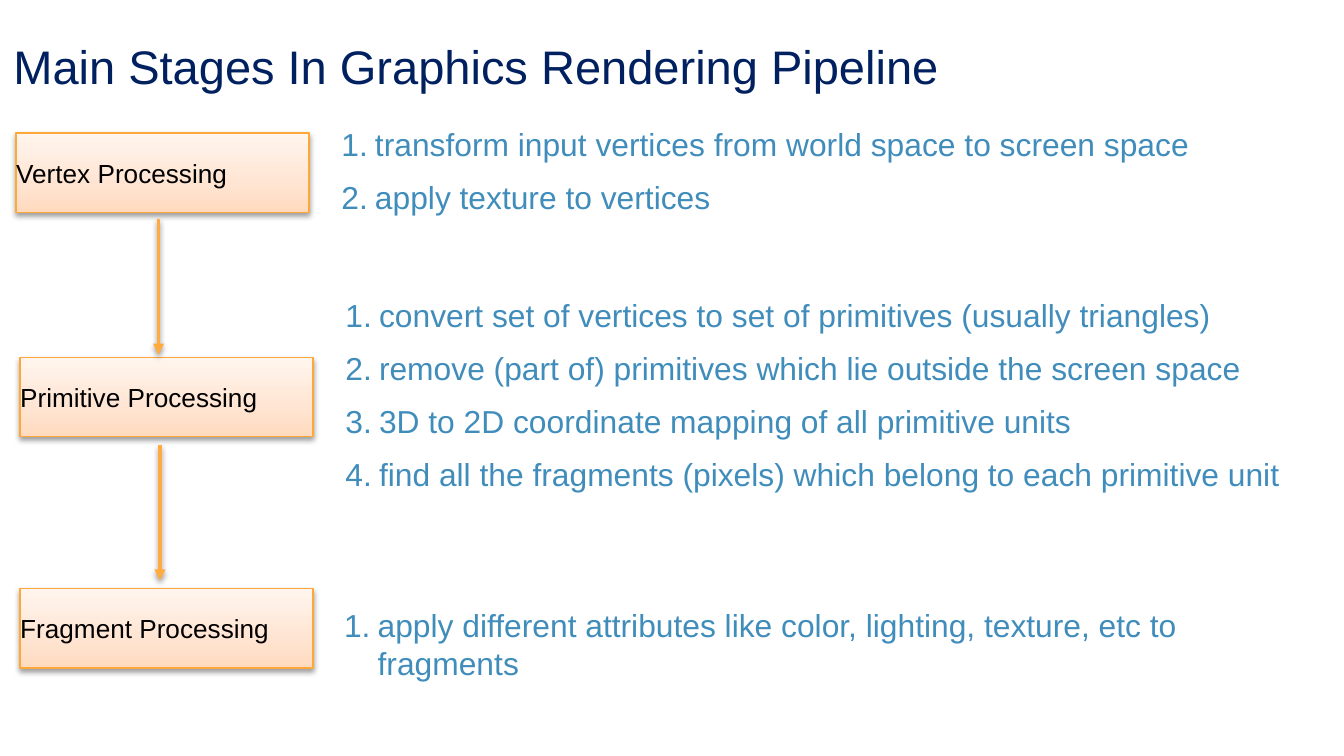
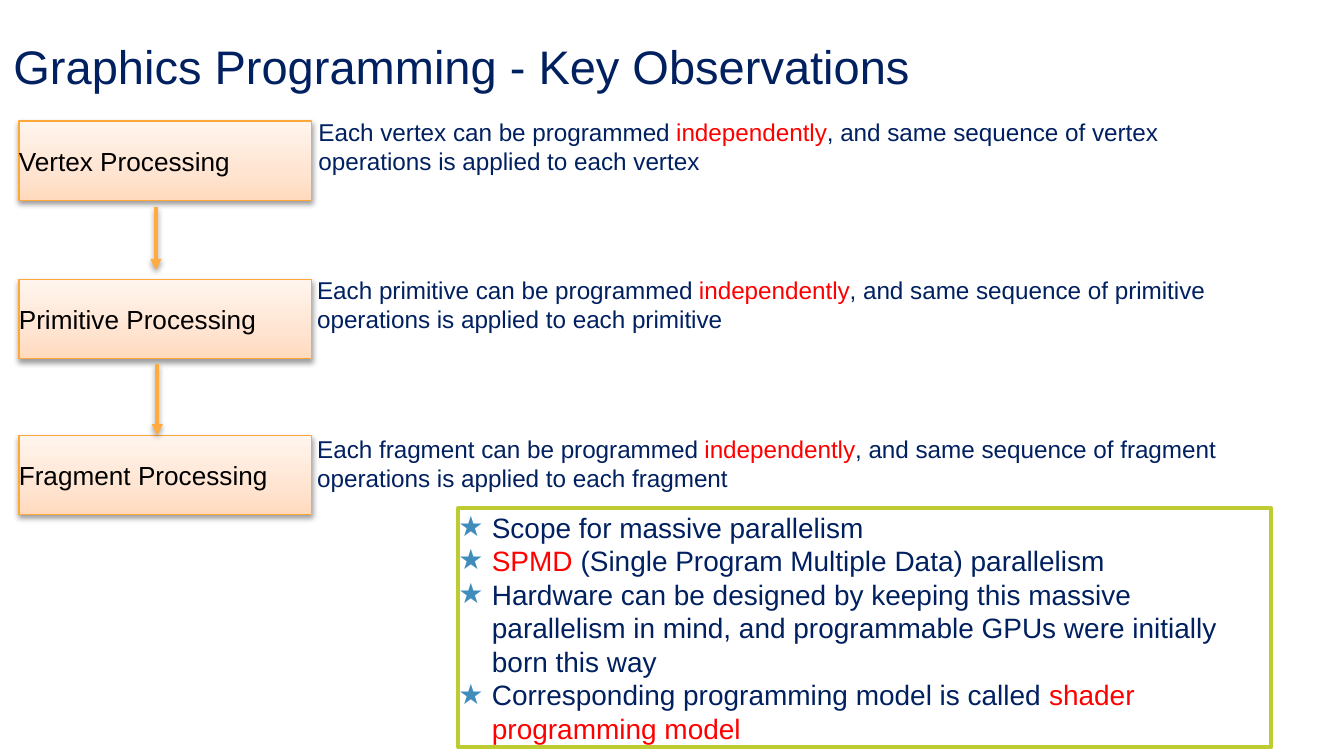
import pptx
import pptx.util
import pptx.dml.color
import pptx.enum.shapes
import pptx.enum.text
import pptx.oxml
import pptx.oxml.ns
from dataclasses import dataclass
from pptx.util import Inches

ANCHOR = pptx.enum.text.MSO_ANCHOR
NAMESPACE = pptx.oxml.ns.nsdecls("a")


@dataclass(frozen=True)
class Theme:
    font: str = "Arial"
    navy: str = "002060"
    blue: str = "408DBC"
    red: str = "FF0000"
    black: str = "000000"
    white: str = "FFFFFF"
    stage_edge: str = "FEA83A"
    arrow: str = "FFAB40"
    frame: str = "BECC34"
    stage_stops: tuple = ((0, "FFDABE"), (35, "FFE4D1"), (100, "FFF5EE"))
    title_size: float = 25.2
    step_size: float = 17
    takeaway_size: float = 15
    stage_size: float = 14
    note_size: float = 13


THEME = Theme()
SLIDE_WIDTH = Inches(10)
SLIDE_HEIGHT = SLIDE_WIDTH * 9 // 16
STAGES = ("Vertex Processing", "Primitive Processing", "Fragment Processing")
STAGE_WIDTH, STAGE_HEIGHT = 2.18, 0.59
NUMBERED = '<a:buAutoNum {} type="arabicPeriod"/>'.format(NAMESPACE)
STARRED = '<a:buChar {} char="★"/>'.format(NAMESPACE)


def rgb(color):
    return pptx.dml.color.RGBColor.from_string(color)


def apply_format(target, values):
    for name, value in values.items():
        setattr(target, name, value)


def place(part, box):
    names = ("left", "top", "width", "height")
    apply_format(part, {name: Inches(length) for name, length in zip(names, box)})


def prepare_frame(frame, anchor=ANCHOR.TOP, inset=0):
    margins = ("margin_left", "margin_top", "margin_right", "margin_bottom")
    apply_format(frame, {name: Inches(inset) for name in margins})
    apply_format(frame, {
        "word_wrap": True,
        "auto_size": pptx.enum.text.MSO_AUTO_SIZE.NONE,
        "vertical_anchor": anchor,
    })


def write_paragraph(paragraph, runs, size, space_before=0):
    apply_format(paragraph, {
        "alignment": pptx.enum.text.PP_ALIGN.LEFT,
        "space_before": pptx.util.Pt(space_before),
        "line_spacing": 1.0,
    })
    for wording, color in runs:
        run = paragraph.add_run()
        run.text = wording
        apply_format(run.font, {
            "name": THEME.font, "size": pptx.util.Pt(size), "bold": False,
        })
        run.font.color.rgb = rgb(color)


def add_marker(paragraph, marker, margin):
    properties = paragraph._p.get_or_add_pPr()
    properties.set("marL", str(Inches(margin)))
    properties.set("indent", str(Inches(-0.25)))
    properties.append(pptx.oxml.parse_xml(
        f'<a:buClr {NAMESPACE}><a:srgbClr val="{THEME.blue}"/></a:buClr>'))
    properties.append(pptx.oxml.parse_xml(
        f'<a:buFont {NAMESPACE} typeface="{THEME.font}"/>'))
    properties.append(pptx.oxml.parse_xml(marker))


def write_list(frame, items, size, marker, margin, space_before=0):
    for index, runs in enumerate(items):
        paragraph = frame.add_paragraph() if index else frame.paragraphs[0]
        write_paragraph(paragraph, runs, size, space_before)
        add_marker(paragraph, marker, margin)


def set_line(line, color, width):
    line.color.rgb = rgb(color)
    line.width = pptx.util.Pt(width)


def add_shadow(part):
    part._element.spPr.append(pptx.oxml.parse_xml(
        f'<a:effectLst {NAMESPACE}><a:outerShdw blurRad="{pptx.util.Pt(3)}" '
        f'dist="{pptx.util.Pt(1.6)}" dir="5400000" rotWithShape="0">'
        f'<a:srgbClr val="{THEME.black}"><a:alpha val="38000"/></a:srgbClr>'
        '</a:outerShdw></a:effectLst>'))


def line_element(part):
    return part._element.spPr.find(pptx.oxml.ns.qn("a:ln"))


def add_title(slide, wording):
    title = slide.shapes.title
    place(title, (0, 0.18, 10.04, 0.62))
    prepare_frame(title.text_frame, ANCHOR.MIDDLE, 0.1)
    write_paragraph(title.text_frame.paragraphs[0], [(wording, THEME.navy)], THEME.title_size)


def add_stage(slide, wording, left, top):
    stage = slide.shapes.add_shape(
        pptx.enum.shapes.MSO_SHAPE.RECTANGLE, Inches(left), Inches(top),
        Inches(STAGE_WIDTH), Inches(STAGE_HEIGHT))
    set_line(stage.line, THEME.stage_edge, 0.75)
    stops = "".join(
        f'<a:gs pos="{position * 1000}"><a:srgbClr val="{color}"/></a:gs>'
        for position, color in THEME.stage_stops)
    line_element(stage).addprevious(pptx.oxml.parse_xml(
        f'<a:gradFill {NAMESPACE} rotWithShape="1"><a:gsLst>{stops}</a:gsLst>'
        '<a:lin ang="16200000" scaled="0"/></a:gradFill>'))
    add_shadow(stage)
    prepare_frame(stage.text_frame, ANCHOR.MIDDLE)
    write_paragraph(stage.text_frame.paragraphs[0], [(wording, THEME.black)], THEME.stage_size)


def add_arrow(slide, x, top, bottom):
    arrow = slide.shapes.add_connector(
        pptx.enum.shapes.MSO_CONNECTOR.STRAIGHT,
        Inches(x), Inches(top), Inches(x), Inches(bottom))
    set_line(arrow.line, THEME.arrow, 2)
    line_element(arrow).append(pptx.oxml.parse_xml(
        f'<a:tailEnd {NAMESPACE} type="triangle"/>'))
    add_shadow(arrow)


def add_pipeline(slide, corners, arrows):
    for wording, corner in zip(STAGES, corners):
        add_stage(slide, wording, *corner)
    for arrow in arrows:
        add_arrow(slide, *arrow)


def add_steps(body, box, steps):
    place(body, box)
    prepare_frame(body.text_frame)
    write_list(body.text_frame, [[(step, THEME.blue)] for step in steps],
               THEME.step_size, NUMBERED, 0.67, 8)


def add_observation(slide, box, unit):
    note = slide.shapes.add_textbox(*map(Inches, box))
    prepare_frame(note.text_frame)
    write_paragraph(note.text_frame.paragraphs[0], [
        (f"Each {unit} can be programmed ", THEME.navy),
        ("independently", THEME.red),
        (f", and same sequence of {unit} operations is applied to each {unit}", THEME.navy),
    ], THEME.note_size)


def add_takeaways(body, box, takeaways):
    place(body, box)
    body.fill.solid()
    body.fill.fore_color.rgb = rgb(THEME.white)
    set_line(body.line, THEME.frame, 2)
    prepare_frame(body.text_frame, ANCHOR.MIDDLE)
    write_list(body.text_frame, takeaways, THEME.takeaway_size, STARRED, 0.25)


def start_slide(deck, layout_name, wording):
    slide = deck.slides.add_slide(deck.slide_layouts.get_by_name(layout_name))
    add_title(slide, wording)
    return slide


def build_stages_slide(deck):
    slide = start_slide(deck, "Comparison", "Main Stages In Graphics Rendering Pipeline")
    add_pipeline(slide, ((0.12, 0.99), (0.15, 2.66), (0.15, 4.38)),
                 ((1.18, 1.63, 2.64), (1.19, 3.31, 4.32)))
    stage_steps = (
        ((2.12, 0.93, 6.8, 0.66), (
            "transform input vertices from world space to screen space",
            "apply texture to vertices")),
        ((2.15, 2.2, 7.44, 1.44), (
            "convert set of vertices to set of primitives (usually triangles)",
            "remove (part of) primitives which lie outside the screen space",
            "3D to 2D coordinate mapping of all primitive units",
            "find all the fragments (pixels) which belong to each primitive unit")),
        ((2.14, 4.51, 7.6, 0.56), (
            "apply different attributes like color, lighting, texture, etc to fragments",)),
    )
    bodies = list(slide.placeholders)[1:]
    for body, (box, steps) in zip(bodies, stage_steps):
        add_steps(body, box, steps)
    for unused in bodies[len(stage_steps):]:
        unused._element.getparent().remove(unused._element)


def build_observations_slide(deck):
    slide = start_slide(deck, "Title and Content", "Graphics Programming - Key Observations")
    add_pipeline(slide, ((0.14, 0.9), (0.14, 2.08), (0.14, 3.24)),
                 ((1.16, 1.54, 2.01), (1.17, 2.71, 3.24)))
    for unit, box in (("vertex", (2.37, 0.87, 7.07, 0.44)),
                      ("primitive", (2.36, 2.05, 7.07, 0.44)),
                      ("fragment", (2.36, 3.23, 6.92, 0.44))):
        add_observation(slide, box, unit)
    add_takeaways(slide.placeholders[1], (3.41, 3.78, 6.05, 1.78), (
        [("Scope for massive parallelism", THEME.navy)],
        [("SPMD", THEME.red), (" (Single Program Multiple Data) parallelism", THEME.navy)],
        [("Hardware can be designed by keeping this massive parallelism in mind, "
          "and programmable GPUs were initially born this way", THEME.navy)],
        [("Corresponding programming model is called ", THEME.navy),
         ("shader programming model", THEME.red)],
    ))


def main():
    deck = pptx.Presentation()
    apply_format(deck, {"slide_width": SLIDE_WIDTH, "slide_height": SLIDE_HEIGHT})
    build_stages_slide(deck)
    build_observations_slide(deck)
    deck.save("out.pptx")


if __name__ == "__main__":
    main()
